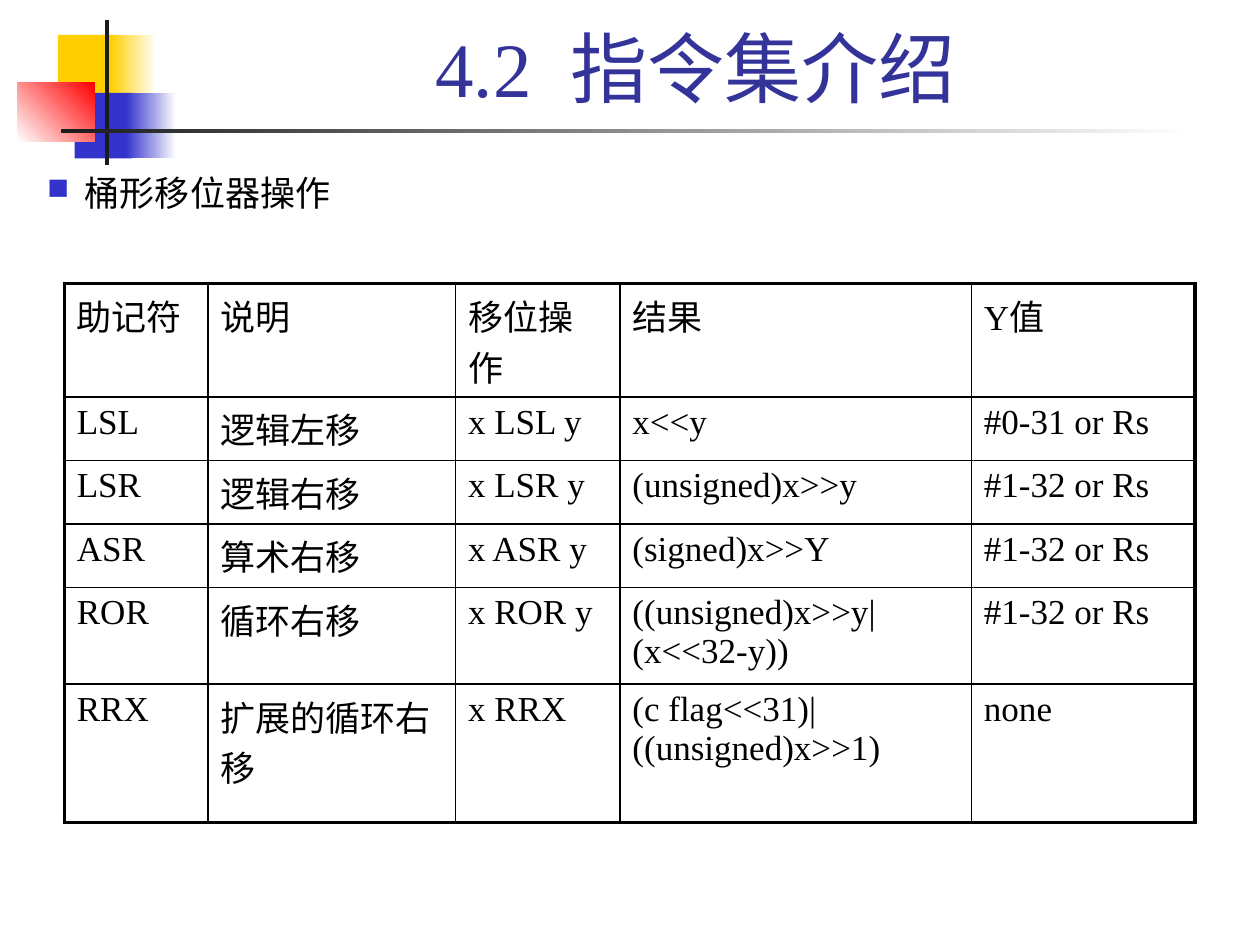
from lxml.etree import SubElement
from pptx import Presentation
from pptx.dml.color import RGBColor
from pptx.enum.shapes import MSO_SHAPE
from pptx.enum.text import MSO_ANCHOR, PP_ALIGN
from pptx.oxml.ns import qn
from pptx.util import Inches, Pt

SERIF, SANS = "Times New Roman", "Noto Sans CJK SC"
BLACK, WHITE, DARK = "000000", "FFFFFF", "1C1C1C"
GOLD, BLUE, RED, NAVY = "FFCF01", "3333CC", "FF0000", "333399"

# left, top, width, height in grid units; first colour, last colour, angle
DECOR = [
    (4.6, 2.77, 4.8, 5.2, GOLD, None, 0),
    (8.8, 2.77, 3.6, 5.2, GOLD, WHITE, 0),
    (5.92, 7.37, 4.6, 5.2, BLUE, None, 0),
    (10, 7.37, 4, 5.2, BLUE, WHITE, 0),
    (1.4, 6.55, 6.1, 4.7, WHITE, RED, 45),
    (8.35, 1.6, 0.3, 11.5, DARK, None, 0),
    (4.85, 10.25, 90, 0.3, DARK, WHITE, 0),
]
COLS = [11.4, 19.65, 13.05, 27.9, 17.75]
ROWS = [9, 5.04, 5.04, 5.04, 7.67, 11]
CELLS = [
    ["助记符", "说明", "移位操作", "结果", "Y值"],
    ["LSL", "逻辑左移", "x LSL y", "x<<y", "#0-31 or Rs"],
    ["LSR", "逻辑右移", "x LSR y", "(unsigned)x>>y", "#1-32 or Rs"],
    ["ASR", "算术右移", "x ASR y", "(signed)x>>Y", "#1-32 or Rs"],
    ["ROR", "循环右移", "x ROR y", "((unsigned)x>>y|(x<<32-y))", "#1-32 or Rs"],
    ["RRX", "扩展的循环右移", "x RRX", "(c flag<<31)|((unsigned)x>>1)", "none"],
]


def unit(n):
    """Length of n cells of a grid 100 wide and 75 high."""
    return Inches(n / 10)


def color(code):
    return RGBColor.from_string(code)


def add_block(slide, left, top, width, height, first, last, angle):
    """Rectangle, plain or with a gradient if a last colour is given."""
    area = map(unit, (left, top, width, height))
    block = slide.shapes.add_shape(MSO_SHAPE.RECTANGLE, *area)
    block.shadow.inherit = False
    block.line.fill.background()
    if last is None:
        block.fill.solid()
        block.fill.fore_color.rgb = color(first)
        return
    block.fill.gradient()
    block.fill.gradient_angle = angle
    for stop, code in zip(block.fill.gradient_stops, (first, last)):
        stop.color.rgb = color(code)


def set_text(frame, text, size, face, code):
    par = frame.paragraphs[0]
    par.text = text
    par.font.size, par.font.name = Pt(size), face
    par.font.color.rgb = color(code)
    return par


def add_text(slide, area, text, size, face, code):
    frame = slide.shapes.add_textbox(*map(unit, area)).text_frame
    frame.word_wrap = True
    frame.vertical_anchor = MSO_ANCHOR.MIDDLE
    return set_text(frame, text, size, face, code)


def add_bullet(par, code, indent):
    props = par._p.get_or_add_pPr()
    props.set("marL", str(indent))
    props.set("indent", str(-indent))
    tint = SubElement(props, qn("a:buClr"))
    SubElement(tint, qn("a:srgbClr"), val=code)
    SubElement(props, qn("a:buSzPct"), val="85000")
    SubElement(props, qn("a:buChar"), char="■")
    font = props.find(qn("a:defRPr"))
    if font is not None:
        props.append(font)  # the schema wants bullets before the font


def add_edge(cell, side, width):
    props = cell._tc.get_or_add_tcPr()
    line = SubElement(props, qn(f"a:ln{side}"), w=str(Pt(width)))
    fill = SubElement(line, qn("a:solidFill"))
    SubElement(fill, qn("a:srgbClr"), val=BLACK)


def add_grid(slide, left, top):
    """Table with a thick frame and thin inner lines."""
    area = map(unit, (left, top, sum(COLS), sum(ROWS)))
    table = slide.shapes.add_table(len(ROWS), len(COLS), *area).table
    table.first_row = table.horz_banding = False
    for col, width in zip(table.columns, COLS):
        col.width = unit(width)
    for r, (row, height) in enumerate(zip(table.rows, ROWS)):
        row.height = unit(height)
        for c, cell in enumerate(row.cells):
            par = set_text(cell.text_frame, CELLS[r][c], 20, SERIF, BLACK)
            par.space_before = Pt(4)
            outer = {"L": c == 0, "R": c == len(COLS) - 1,
                     "T": r == 0, "B": r == len(ROWS) - 1}
            for side, thick in outer.items():
                add_edge(cell, side, 2.25 if thick else 1)
            cell.fill.background()


def main():
    deck = Presentation()
    deck.slide_width, deck.slide_height = unit(100), unit(75)
    slide = deck.slides.add_slide(deck.slide_layouts[6])
    for block in DECOR:
        add_block(slide, *block)
    topic = add_text(slide, (2.75, 12.95, 85.2, 4.7), "桶形移位器操作",
                     20, SANS, BLACK)
    add_bullet(topic, BLUE, unit(3))
    add_grid(slide, 5.1, 22.5)
    title = add_text(slide, (12.6, 1.1, 85.2, 8.4), "4.2  指令集介绍",
                     44, SERIF, NAVY)
    title.alignment = PP_ALIGN.CENTER
    deck.save("out.pptx")


if __name__ == "__main__":
    main()
